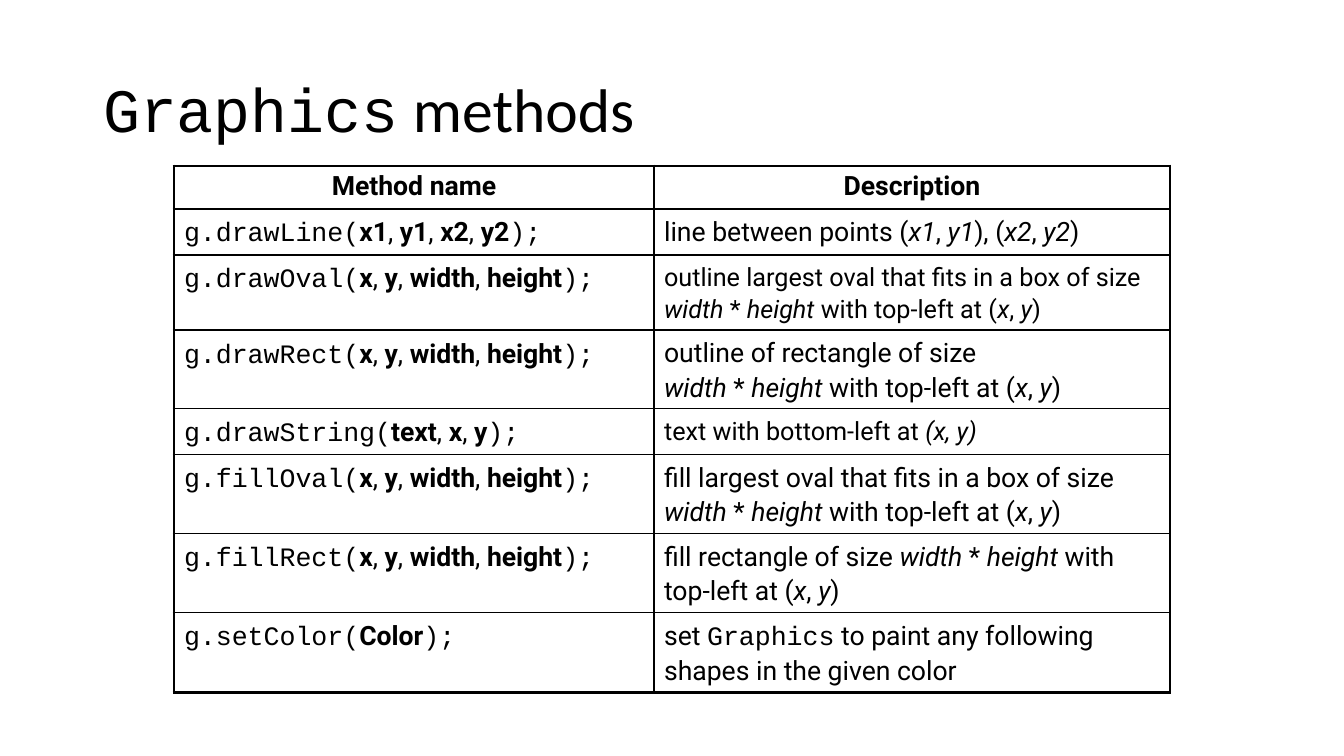
from lxml.etree import SubElement
from pptx import Presentation
from pptx.dml.color import RGBColor
from pptx.enum.text import MSO_ANCHOR as Anchor, MSO_AUTO_SIZE as AutoSize, PP_ALIGN as Align
from pptx.oxml.ns import qn
from pptx.util import Pt

EMU_PER_PIXEL = 914400 / 100.8
COLORS = {"ink": "000000"}
BODY, CODE, HEADING = "Roboto", "Courier New", "Calibri"

# Inline marks: `code`, ^bold^, _italic_
MARKS = {"`": "code", "^": "bold", "_": "italic"}
HEADERS = ["Method name", "Description"]
COLUMN_WIDTHS = [480, 516]
HEADER_HEIGHT = 43
BOX = "_width_ * _height_ with top-left at (_x_, _y_)"
BOX_ARGUMENTS = ["x", "y", "width", "height"]

# Method, arguments, description, description size, row height
METHODS = [
    ("drawLine", ["x1", "y1", "x2", "y2"],
     "line between points (_x1_, _y1_), (_x2_, _y2_)", 19, 44),
    ("drawOval", BOX_ARGUMENTS,
     f"outline largest oval that fits in a box of size {BOX}", 18, 74),
    ("drawRect", BOX_ARGUMENTS, f"outline of rectangle of size\n{BOX}", 19, 78),
    ("drawString", ["text", "x", "y"], "text with bottom-left at _(x, y)_", 18, 44),
    ("fillOval", BOX_ARGUMENTS,
     f"fill largest oval that fits in a box of size {BOX}", 19, 78),
    ("fillRect", BOX_ARGUMENTS, f"fill rectangle of size {BOX}", 19, 78),
    ("setColor", ["Color"],
     "set `Graphics` to paint any following shapes in the given color", 19, 78),
]


def px(pixels):
    return round(pixels * EMU_PER_PIXEL)


def split_marks(marked):
    """Yield each stretch of text with the set of styles that apply to it."""
    styles, stretch = set(), ""
    for char in marked:
        if char in MARKS or char == "\n":
            if stretch:
                yield stretch, set(styles)
            stretch = ""
            if char == "\n":
                yield char, set()
            else:
                styles ^= {MARKS[char]}
        else:
            stretch += char
    if stretch:
        yield stretch, styles


def write_text(frame, marked, font=BODY, size=19, bold=False, align=Align.LEFT,
               line_spacing=1.0, before_percent=0, color="ink"):
    paragraph = frame.paragraphs[0]
    paragraph.alignment = align
    paragraph.line_spacing = line_spacing
    paragraph.space_before = Pt(0)
    if before_percent:
        before = paragraph._p.pPr.find(qn("a:spcBef"))
        before.clear()
        SubElement(before, qn("a:spcPct"), val=str(before_percent * 1000))
    for stretch, styles in split_marks(marked):
        if stretch == "\n":
            paragraph.add_line_break()
            continue
        run = paragraph.add_run()
        run.text = stretch
        run.font.name = CODE if "code" in styles else font
        run.font.size = Pt(size)
        run.font.bold = bold or "bold" in styles
        run.font.italic = "italic" in styles
        run.font.color.rgb = RGBColor.from_string(COLORS[color])


def set_borders(cell, widths):
    """Draw the left, right, top and bottom borders, in points."""
    properties = cell._tc.get_or_add_tcPr()
    for index, (side, width) in enumerate(zip("LRTB", widths)):
        line = properties.makeelement(qn(f"a:ln{side}"), w=str(Pt(width)))
        fill = SubElement(line, qn("a:solidFill"))
        SubElement(fill, qn("a:srgbClr"), val=COLORS["ink"])
        properties.insert(index, line)


def add_title(slide):
    title = slide.shapes.title
    title.left, title.top, title.width, title.height = map(px, (93, 40, 1159, 146))
    frame = title.text_frame
    frame.auto_size = AutoSize.NONE
    frame.vertical_anchor = Anchor.MIDDLE
    write_text(frame, "`Graphics` methods", font=HEADING, size=44, line_spacing=0.9)


def add_methods_table(slide):
    heights = [HEADER_HEIGHT] + [method[-1] for method in METHODS]
    rows, columns = len(heights), len(COLUMN_WIDTHS)
    table = slide.shapes.add_table(rows, columns, px(174), px(166),
                                   px(sum(COLUMN_WIDTHS)), px(sum(heights))).table
    table.first_row = table.horz_banding = False
    for column, width in zip(table.columns, COLUMN_WIDTHS):
        column.width = px(width)
    for row, height in zip(table.rows, heights):
        row.height = px(height)

    # Thick outer frame, thin inner lines
    for r in range(rows):
        for c in range(columns):
            cell = table.cell(r, c)
            cell.fill.background()
            outer = (c == 0, c == columns - 1, r == 0, r == rows - 1)
            set_borders(cell, [2.25 if edge else 1 for edge in outer])

    # Header row
    for c, header in enumerate(HEADERS):
        write_text(table.cell(0, c).text_frame, header, bold=True,
                   align=Align.CENTER, before_percent=20)

    # Method rows
    for r, (method, arguments, description, size, _) in enumerate(METHODS, 1):
        call = f"`g.{method}(`" + ", ".join(f"^{name}^" for name in arguments) + "`);`"
        for c, (content, points) in enumerate([(call, 19), (description, size)]):
            write_text(table.cell(r, c).text_frame, content, size=points,
                       line_spacing=1.1, before_percent=20)


def main():
    deck = Presentation()
    deck.slide_width, deck.slide_height = px(1344), px(756)
    slide = deck.slides.add_slide(deck.slide_layouts[5])
    add_title(slide)
    add_methods_table(slide)
    deck.save("out.pptx")


main()
